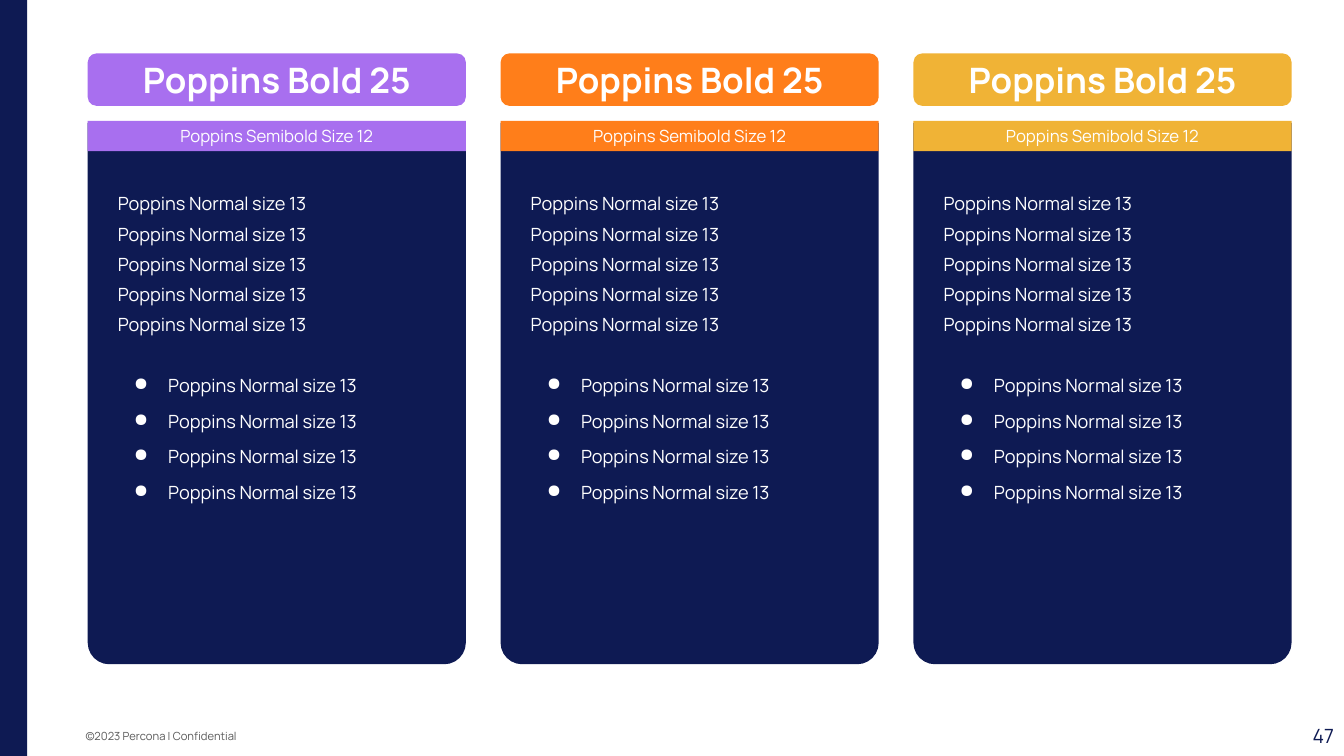
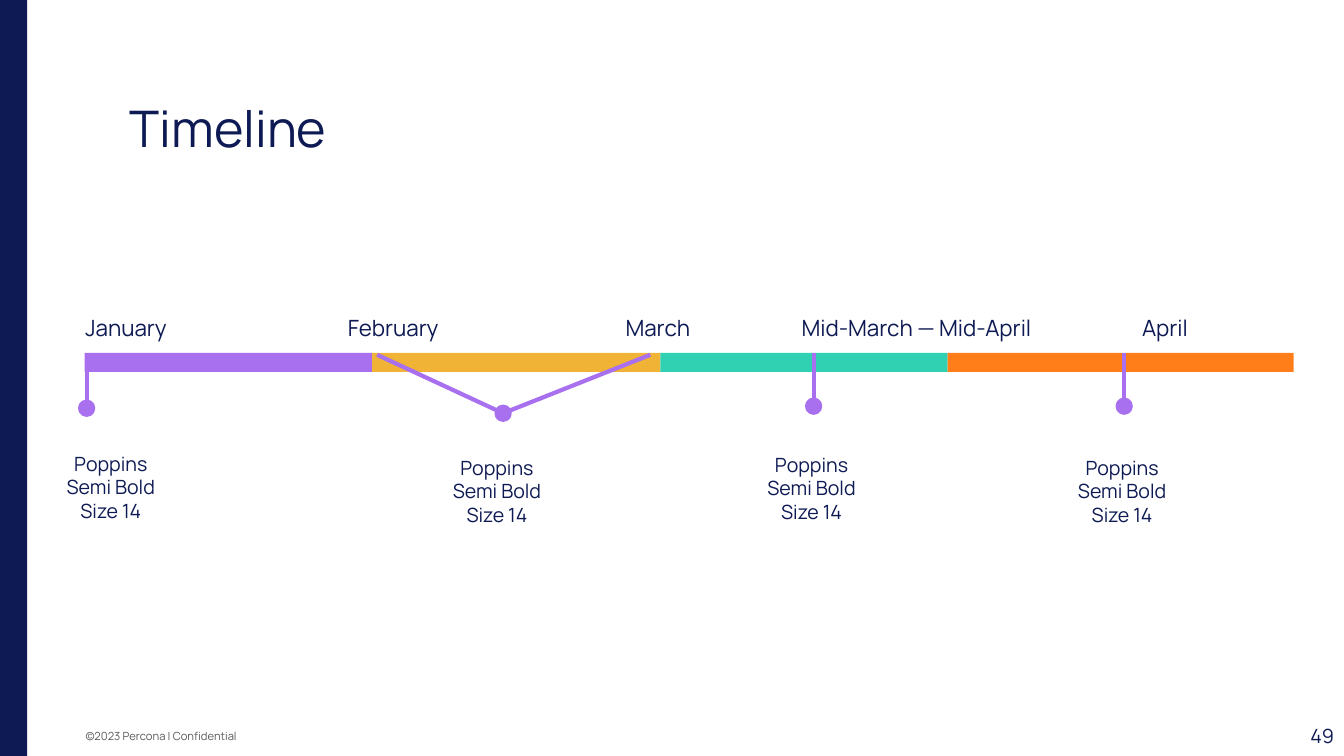
"""Build a three-card slide and a timeline slide in one shared style."""
from dataclasses import dataclass

from lxml import etree
from pptx import Presentation
from pptx import util as u
from pptx.dml import color as c
from pptx.enum import shapes, text
from pptx.oxml import ns

SHAPE = shapes.MSO_SHAPE
ALIGN = text.PP_ALIGN
ANCHOR = text.MSO_ANCHOR


@dataclass(frozen=True)
class Theme:
    font: str = "Manrope"
    navy: str = "0E1A53"
    white: str = "FFFFFF"
    grey: str = "595959"
    purple: str = "A86FEF"
    orange: str = "FF7E1A"
    yellow: str = "F0B336"
    teal: str = "30D1B2"
    title: int = 36
    header: int = 25
    month: int = 16
    label: int = 14
    body: int = 13
    band: int = 12
    footer: int = 8


T = Theme()


def rgb(value):
    return c.RGBColor.from_string(value)


def write(tf, content, size=T.body, color=T.navy, bold=False, align=ALIGN.LEFT,
          before=None, after=None, spacing=None, bullet=None):
    p = tf.add_paragraph() if tf.text else tf.paragraphs[0]
    p.alignment = align
    if before is not None:
        p.space_before = u.Pt(before)
    if after is not None:
        p.space_after = u.Pt(after)
    if spacing is not None:
        p.line_spacing = spacing
    if bullet:
        pPr = p._p.get_or_add_pPr()
        pPr.set("marL", str(u.Inches(0.5)))
        pPr.set("indent", str(u.Inches(-0.34)))
        clr = etree.SubElement(pPr, ns.qn("a:buClr"))
        etree.SubElement(clr, ns.qn("a:srgbClr")).set("val", color)
        etree.SubElement(pPr, ns.qn("a:buChar")).set("char", bullet)
    p.text = content
    for r in p.runs:
        r.font.name = T.font
        r.font.size = u.Pt(size)
        r.font.bold = bold
        r.font.color.rgb = rgb(color)


class Deck:
    def __init__(self):
        self.prs = Presentation()
        self.prs.slide_width = u.Inches(13.33)
        self.prs.slide_height = u.Inches(7.5)
        self.s = None

    def slide(self, number):
        self.s = self.prs.slides.add_slide(self.prs.slide_layouts[6])
        self.shape(SHAPE.RECTANGLE, 0, 0, 0.27, 7.5, T.navy)
        write(self.box(0.75, 7.16, 4.87, 0.29, anchor=ANCHOR.MIDDLE),
              "©2023 Percona | Confidential", size=T.footer, color=T.grey)
        write(self.box(11.66, 7.1, 1.67, 0.4, pad_y=0.05, anchor=ANCHOR.MIDDLE),
              number, size=T.label, align=ALIGN.RIGHT)

    def frame(self, sp, pad_x, pad_y, anchor):
        tf = sp.text_frame
        tf.word_wrap = True
        tf.vertical_anchor = anchor
        tf.margin_left = tf.margin_right = u.Inches(pad_x)
        tf.margin_top = tf.margin_bottom = u.Inches(pad_y)
        return tf

    def box(self, x, y, w, h, pad_x=0.1, pad_y=0.1, anchor=ANCHOR.TOP):
        sp = self.s.shapes.add_textbox(*map(u.Inches, (x, y, w, h)))
        return self.frame(sp, pad_x, pad_y, anchor)

    def shape(self, kind, x, y, w, h, fill, outline=None, adjust=()):
        sp = self.s.shapes.add_shape(kind, *map(u.Inches, (x, y, w, h)))
        sp.shadow.inherit = False
        sp.fill.solid()
        sp.fill.fore_color.rgb = rgb(fill)
        if outline:
            sp.line.color.rgb = rgb(fill)
            sp.line.width = u.Pt(outline)
        else:
            sp.line.fill.background()
        for i, value in enumerate(adjust):
            sp.adjustments[i] = value
        return sp

    def caption(self, sp, content, **fmt):
        tf = self.frame(sp, 0.1, 0, ANCHOR.MIDDLE)
        write(tf, content, color=T.white, align=ALIGN.CENTER, **fmt)

    def line(self, start, end, color):
        ln = self.s.shapes.add_connector(
            shapes.MSO_CONNECTOR.STRAIGHT, *map(u.Inches, (*start, *end)))
        ln.line.color.rgb = rgb(color)
        ln.line.width = u.Pt(3)
        etree.SubElement(ln._element.spPr, ns.qn("a:effectLst"))

    def card(self, x, w, color):
        self.shape(SHAPE.ROUND_2_SAME_RECTANGLE, x, 1.22, w, 5.37, T.navy,
                   adjust=(0, 0.057))
        header = self.shape(SHAPE.ROUNDED_RECTANGLE, x, 0.53, w, 0.52, color,
                            adjust=(0.167,))
        self.caption(header, "Poppins Bold 25", size=T.header, bold=True)
        band = self.shape(SHAPE.RECTANGLE, x, 1.2, w, 0.3, color)
        self.caption(band, "Poppins Semibold Size 12", size=T.band)
        tf = self.box(x + 0.2, 1.81, w - 0.4, 3.68)
        for before in (None, 6, 6, 6, 6):
            write(tf, "Poppins Normal size 13", color=T.white, before=before)
        for before in (27.5, 10, 10, 10):
            write(tf, "Poppins Normal size 13", color=T.white, before=before,
                  bullet="●")

    def month(self, x, w, name):
        write(self.box(x, 2.95, w, 0.54, 0.13, 0.13), name, size=T.month,
              align=ALIGN.CENTER, spacing=1.15)

    def milestone(self, dot, ends, label_x, label_y):
        for end in ends:
            self.line(dot, end, T.purple)
        d = 0.13
        self.shape(SHAPE.OVAL, dot[0] - d / 2, dot[1] - d / 2, d, d, T.purple,
                   outline=3)
        write(self.box(label_x, label_y, 2.26, 1.38, 0.13, 0.13),
              "Poppins\vSemi Bold\vSize 14", size=T.label, align=ALIGN.CENTER)


def cards_slide(deck):
    deck.slide("47")
    left, right, w = 0.87, 12.81, 3.75
    pitch = (right - left - w) / 2
    for i, color in enumerate((T.purple, T.orange, T.yellow)):
        deck.card(left + i * pitch, w, color)


def timeline_slide(deck):
    deck.slide("49")
    write(deck.box(1.19, 0.83, 11.04, 0.94, pad_y=0.05, anchor=ANCHOR.MIDDLE),
          "Timeline", size=T.title, spacing=0.9)
    x = 0.84
    for color, w in ((T.purple, 2.85), (T.yellow, 2.86), (T.teal, 2.85),
                     (T.orange, 3.43)):
        deck.shape(SHAPE.RECTANGLE, x, 3.5, w, 0.19, color)
        x += w
    for x, w, name in ((0.33, 1.84, "January"), (2.98, 1.84, "February"),
                       (5.75, 1.55, "March"),
                       (7.49, 3.2, "Mid-March — Mid-April"),
                       (10.54, 2.03, "April")):
        deck.month(x, w, name)
    for dot, ends, label_x, label_y in (
            ((0.86, 4.05), [(0.86, 3.52)], -0.03, 4.35),
            ((4.99, 4.1), [(3.74, 3.52), (6.45, 3.52)], 3.8, 4.39),
            ((8.07, 4.03), [(8.07, 3.5)], 6.92, 4.36),
            ((11.15, 4.03), [(11.15, 3.5)], 10, 4.39)):
        deck.milestone(dot, ends, label_x, label_y)


def main():
    deck = Deck()
    cards_slide(deck)
    timeline_slide(deck)
    deck.prs.save("out.pptx")


if __name__ == "__main__":
    main()
